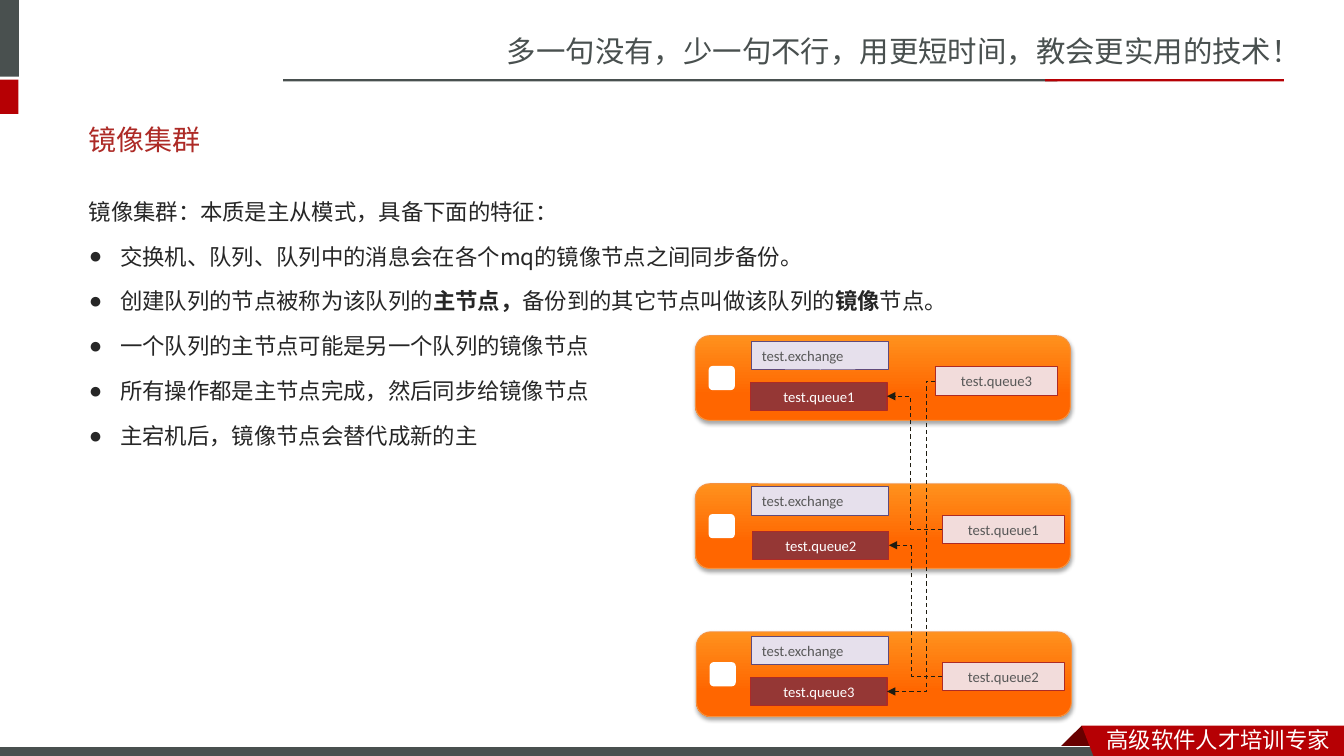
from lxml import etree
from pptx import Presentation
from pptx.dml.color import RGBColor
from pptx.enum.dml import MSO_LINE
from pptx.enum.shapes import MSO_CONNECTOR, MSO_SHAPE
from pptx.enum.text import MSO_ANCHOR, MSO_AUTO_SIZE, PP_ALIGN
from pptx.oxml.ns import qn
from pptx.util import Pt

RECT, ROUND_RECT = MSO_SHAPE.RECTANGLE, MSO_SHAPE.ROUNDED_RECTANGLE
ELBOW, DASH = MSO_CONNECTOR.ELBOW, MSO_LINE.DASH
LEFT, CENTER = PP_ALIGN.LEFT, PP_ALIGN.CENTER
TOP, MIDDLE = MSO_ANCHOR.TOP, MSO_ANCHOR.MIDDLE

WHITE = RGBColor(0xFF, 0xFF, 0xFF)
SLATE = RGBColor(0x49, 0x50, 0x4F)
RED = RGBColor(0xB6, 0x00, 0x04)
FOLD_RED = RGBColor(0x68, 0x00, 0x00)
TITLE_RED = RGBColor(0xAD, 0x2A, 0x26)
BOX_RED = RGBColor(0xAD, 0x2B, 0x26)
QUEUE_RED = RGBColor(0x95, 0x37, 0x35)
MIRROR_PINK = RGBColor(0xF2, 0xDC, 0xDB)
LILAC = RGBColor(0xE6, 0xE0, 0xEC)
PURPLE = RGBColor(0x60, 0x4A, 0x7B)
LIGHT_ORANGE = RGBColor(0xFF, 0x91, 0x1D)
ORANGE = RGBColor(0xFF, 0x66, 0x00)
EDGE_ORANGE = RGBColor(0xF6, 0x92, 0x40)
TEXT_DARK = RGBColor(0x26, 0x26, 0x26)
TEXT_GREY = RGBColor(0x59, 0x59, 0x59)
LINK_DARK = RGBColor(0x1E, 0x1C, 0x11)

SANS, BODY_FONT, TITLE_FONT, LABEL_FONT = (
    "Noto Sans CJK SC", "Noto Sans CJK JP", "Roboto", "Calibri")
BOX_H, EXCHANGE_W, QUEUE_W, MIRROR_W = 20.2, 97.9, 97.2, 87.1

INTRO = "镜像集群：本质是主从模式，具备下面的特征："
# Every second part of a bullet is bold.
BULLETS = [
    ["交换机、队列、队列中的消息会在各个mq的镜像节点之间同步备份。"],
    ["创建队列的节点被称为该队列的", "主节点，", "备份到的其它节点叫做该队列的",
     "镜像", "节点。"],
    ["一个队列的主节点可能是另一个队列的镜像节点"],
    ["所有操作都是主节点完成，然后同步给镜像节点"],
    ["主宕机后，镜像节点会替代成新的主"],
]
# Node left and top, exchange top, then name, left and top of queue and mirror.
NODES = [
    (496.8, 239.8, 244.1, ("test.queue1", 536.4, 272.9), ("test.queue3", 668.2, 262.1)),
    (496.8, 345.6, 347.8, ("test.queue2", 537.8, 379.4), ("test.queue1", 673.2, 367.9)),
    (497.5, 451.4, 454.3, ("test.queue3", 536.4, 483.8), ("test.queue2", 673.2, 473)),
]
BENDS = {"test.queue1": 650.2, "test.queue2": 650.9, "test.queue3": 661.7}


def add_xml(parent, tag, **attrs):
    return etree.SubElement(parent, qn(tag), attrs)


class SlideBuilder:
    def __init__(self, prs):
        self.slide = prs.slides.add_slide(prs.slide_layouts[1])
        self.shapes = self.slide.shapes

    def font(self, p, name, size, color):
        p.font.name, p.font.size = name, Pt(size)
        p.font.color.rgb = color
        add_xml(p.font._element, "a:ea", typeface=name)

    def paint(self, sp, fill, line=None):
        sp.shadow.inherit = False
        sp.fill.solid()
        sp.fill.fore_color.rgb = fill
        self.outline(sp, line)

    def outline(self, sp, color):
        if color is None:
            sp.line.fill.background()
        else:
            sp.line.color.rgb = color
            sp.line.width = Pt(0.75)

    def shape(self, x, y, w, h, fill, line=None, kind=RECT):
        sp = self.shapes.add_shape(kind, Pt(x), Pt(y), Pt(w), Pt(h))
        self.paint(sp, fill, line)
        return sp

    def polygon(self, points, fill):
        start, *rest = [(Pt(x), Pt(y)) for x, y in points]
        outline = self.shapes.build_freeform(*start)
        outline.add_line_segments(rest, close=True)
        self.paint(outline.convert_to_shape(), fill)

    def text(self, x, y, w, h, text, size, color):
        tf = self.shapes.add_textbox(Pt(x), Pt(y), Pt(w), Pt(h)).text_frame
        tf.word_wrap = True
        p = tf.paragraphs[0]
        p.text = text
        self.font(p, SANS, size, color)

    def label_box(self, x, y, w, text, fill, line, color, align=CENTER):
        tf = self.shape(x, y, w, BOX_H, fill, line).text_frame
        tf.word_wrap, tf.vertical_anchor = True, MIDDLE
        p = tf.paragraphs[0]
        p.text, p.alignment = text, align
        self.font(p, LABEL_FONT, 10.5, color)

    def node(self, x, y):
        """Draw an orange server card with a soft shadow and a white badge."""
        card = self.shape(x, y, 267.8, 60.5, ORANGE, EDGE_ORANGE, ROUND_RECT)
        card.fill.gradient()
        card.fill.gradient_angle = 270
        for stop, color, position in zip(
                card.fill.gradient_stops, (LIGHT_ORANGE, ORANGE), (0, 0.7)):
            stop.color.rgb, stop.position = color, position
        effects = card._element.spPr.find(qn("a:effectLst"))
        shadow = add_xml(effects, "a:outerShdw", blurRad=str(Pt(3.1)),
                         dist=str(Pt(1.8)), dir="5400000", rotWithShape="0")
        color = add_xml(shadow, "a:srgbClr", val="000000")
        add_xml(color, "a:alpha", val="35000")
        self.shape(x + 9.4, y + 21.6, 18.7, 17.3, WHITE, kind=ROUND_RECT)

    def link(self, x1, y1, x2, y2, bend_x):
        """Draw a dashed elbow arrow whose upright part is at bend_x."""
        cx = self.shapes.add_connector(ELBOW, Pt(x1), Pt(y1), Pt(x2), Pt(y2))
        self.outline(cx, LINK_DARK)
        cx.line.dash_style = DASH
        props = cx._element.spPr
        add_xml(props.find(qn("a:ln")), "a:tailEnd", type="triangle")
        add_xml(props, "a:effectLst")
        ratio = round((x1 - bend_x) / (x1 - x2) * 100000)
        guides = props.find(qn("a:prstGeom")).find(qn("a:avLst"))
        add_xml(guides, "a:gd", name="adj1", fmla=f"val {ratio}")

    def placeholder(self, index, x, y, w, h, anchor):
        sp = self.slide.placeholders[index]
        sp.left, sp.top, sp.width, sp.height = Pt(x), Pt(y), Pt(w), Pt(h)
        tf = sp.text_frame
        tf.word_wrap, tf.auto_size = True, MSO_AUTO_SIZE.NONE
        tf.vertical_anchor = anchor
        return tf

    def title(self, text):
        p = self.placeholder(0, 56.2, 79.2, 842.4, 41, MIDDLE).paragraphs[0]
        p.text, p.alignment = text, LEFT
        self.font(p, TITLE_FONT, 20, TITLE_RED)

    def body(self, intro, bullets):
        tf = self.placeholder(1, 56.2, 128.2, 842.4, 93.6, TOP)
        for i, parts in enumerate([[intro], *bullets]):
            p = tf.add_paragraph() if i else tf.paragraphs[0]
            p.alignment = LEFT
            p.line_spacing, p.space_before = Pt(28.8), Pt(3.2)
            props = p._p.get_or_add_pPr()
            indent = Pt(22.5) if i else 0
            props.set("marL", str(indent))
            props.set("indent", str(-indent))
            if i:
                add_xml(props, "a:buChar", char="●")
            else:
                add_xml(props, "a:buNone")
            self.font(p, BODY_FONT, 16, TEXT_DARK)
            for n, part in enumerate(parts):
                r = p.add_run()
                r.text = part
                if n % 2:
                    r.font.bold = True


def add_frame(b):
    b.text(355, 20.2, 605.5, 33.8, "多一句没有，少一句不行，用更短时间，教会更实用的技术！", 21, SLATE)
    b.shape(0, 0, 13.5, 54.7, SLATE)
    b.shape(0, 56.9, 13.2, 24.5, RED)
    b.shape(202.3, 56.6, 553, 1.6, SLATE)
    b.shape(746.6, 56.6, 170.6, 1.6, RED)
    b.polygon([(772.6, 518.4), (788.4, 534.2), (787.7, 535), (757.4, 535),
               (756.7, 534.2)], FOLD_RED)
    b.shape(-0.7, 533.5, 792, 8.6, SLATE, WHITE)
    b.polygon([(772.6, 518.4), (960, 518.4), (960, 542.9), (781.9, 542.2)], RED)
    b.text(783.4, 514.8, 176.6, 26.6, "高级软件人才培训专家", 16, WHITE)


def add_cluster(b):
    queues = {queue[0]: queue[1:] for *_, queue, _ in NODES}
    for left, top, exchange_top, (queue, qx, qy), (mirror, mx, my) in NODES:
        b.node(left, top)
        b.label_box(537.1, exchange_top, EXCHANGE_W, "test.exchange", LILAC,
                    PURPLE, TEXT_GREY, LEFT)
        b.label_box(qx, qy, QUEUE_W, queue, QUEUE_RED, BOX_RED, WHITE)
        b.label_box(mx, my, MIRROR_W, mirror, MIRROR_PINK, BOX_RED, TEXT_GREY)
    for *_, (mirror, mx, my) in NODES:
        qx, qy = queues[mirror]
        b.link(mx, my + BOX_H / 2, qx + QUEUE_W, qy + BOX_H / 2, BENDS[mirror])


def main():
    prs = Presentation()
    prs.slide_width, prs.slide_height = Pt(960), Pt(540)
    b = SlideBuilder(prs)
    add_frame(b)
    b.title("镜像集群")
    b.body(INTRO, BULLETS)
    add_cluster(b)
    prs.save("out.pptx")


if __name__ == "__main__":
    main()
